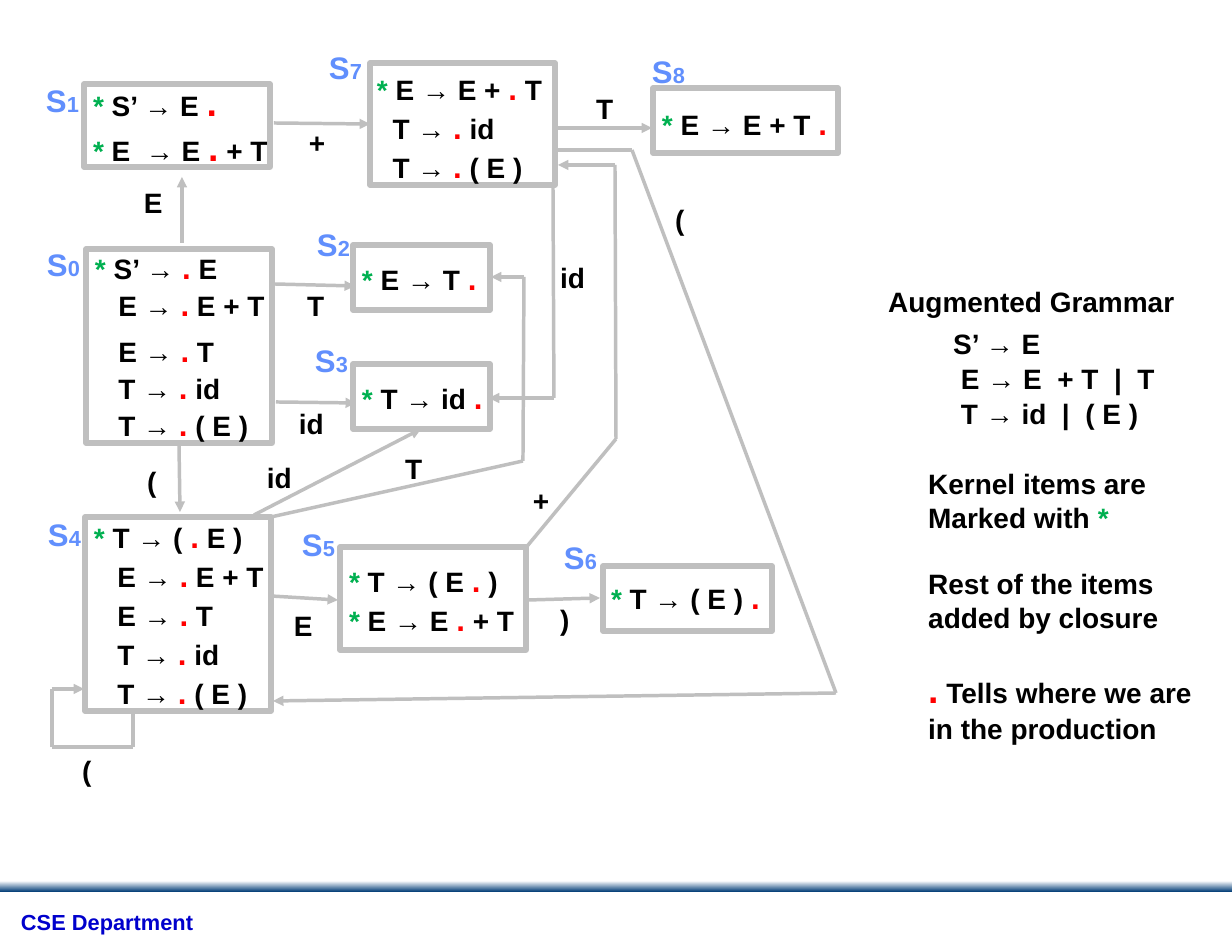
from dataclasses import dataclass
from itertools import groupby, pairwise
from typing import Any

import lxml.etree
import pptx
import pptx.dml.color
import pptx.enum.shapes
import pptx.enum.text
import pptx.oxml.ns
import pptx.util

UNIT = 914400 / 112
FONT = "Arial"
HUES = {
    "ink": "000000",
    "star": "00B050",
    "dot": "FF0000",
    "line": "BFBFBF",
    "tag": "618FFD",
    "foot": "0000CC",
    "white": "FFFFFF",
    "navy": "003B76",
}
MARKS = {"*": "star", ".": "dot"}
WIDTHS = {"E": 41, "T": 40, "+": 39, "id": 50, "(": 31, ")": 31}

Point = tuple[int, int]
Box = tuple[int, int, int, int]


@dataclass
class Line:
    text: str
    dent: int = 0
    lead: int = 0
    trail: int = 0
    dot: int = 20


@dataclass
class State:
    tag: str
    spot: Point
    box: Box
    area: Box
    lines: list[Line]


@dataclass
class Edge:
    text: str
    spot: Point
    route: list[Point]


def items(*texts: str, dent: int = 15, trail: int = 1, dot: int = 20) -> list[Line]:
    return [Line(t, 0 if t[0] == "*" else dent, 0, trail, dot) for t in texts]


STATES = [
    State("0", (36, 240), (86, 249, 186, 194), (84, 243, 195, 215),
          items("* S’ → . E", "E → . E + T", trail=0)
          + [Line("E → . T", 15, 5)]
          + items("T → . id", "T → . ( E )", trail=0)),
    State("1", (35, 76), (84, 84, 186, 83), (82, 74, 199, 103),
          items("* S’ → E .", "* E  → E . + T", trail=0, dot=24)),
    State("7", (318, 43), (370, 63, 185, 122), (366, 64, 189, 128),
          items("* E → E + . T", "T → . id", "T → . ( E )", dent=10)),
    State("8", (641, 47), (653, 88, 185, 65), (651, 99, 188, 49),
          items("* E → E + T .")),
    State("4", (37, 510), (85, 517, 186, 194), (83, 512, 195, 206),
          items("* T → ( . E )", "E → . E + T", "E → . T", "T → . id", "T → . ( E )")),
    State("2", (306, 220), (353, 245, 137, 65), (351, 254, 138, 49),
          items("* E → T .")),
    State("3", (304, 336), (353, 364, 137, 65), (351, 373, 144, 49),
          items("* T → id .")),
    State("5", (291, 520), (340, 547, 186, 103), (338, 556, 190, 88),
          items("* T → ( E . )", "* E → E . + T")),
    State("6", (553, 533), (603, 566, 169, 65), (600, 573, 172, 49),
          items("* T → ( E ) .")),
]

EDGES = [
    Edge("E", (133, 180), [(182, 243), (182, 177)]),
    Edge("+", (298, 120), [(274, 123), (370, 124)]),
    Edge("T", (585, 86), [(557, 128), (652, 128)]),
    Edge("T", (296, 283), [(274, 284), (355, 286)]),
    Edge("id", (288, 401), [(276, 402), (356, 403)]),
    Edge("(", (136, 459), [(179, 444), (180, 512)]),
    Edge("E", (283, 603), [(271, 596), (338, 600)]),
    Edge(")", (549, 597), [(528, 600), (600, 598)]),
    Edge("id", (256, 455), [(254, 515), (421, 429)]),
    Edge("T", (394, 446), [(271, 517), (523, 461), (524, 277), (491, 277)]),
    Edge("id", (549, 255), [(553, 186), (554, 398), (489, 398)]),
    Edge("+", (522, 478), [(524, 550), (616, 439), (615, 165), (558, 165)]),
    Edge("(", (71, 748), [(133, 712), (133, 747), (52, 747), (52, 689), (84, 689)]),
    Edge("(", (664, 197), [(556, 150), (632, 150), (836, 693), (273, 701)]),
]

TITLE = [Line("Augmented Grammar")]
RULES = [Line("S’ → E", 0, 0, 1), Line("E → E  + T  |  T", 5, 0, 1),
         Line("T → id  |  ( E )", 5, 0, 1)]
NOTES = [Line("Kernel items are"), Line("Marked with *"),
         Line("Rest of the items", lead=21), Line("added by closure"),
         Line(". Tells where we are", lead=21, dot=24), Line("in the production")]


def emu(px: float) -> pptx.util.Emu:
    return pptx.util.Emu(round(px * UNIT))


def tint(name: str) -> pptx.dml.color.RGBColor:
    return pptx.dml.color.RGBColor.from_string(HUES[name])


def apply(thing: Any, look: dict[str, Any]) -> None:
    for key, value in look.items():
        setattr(thing, key, value)


def place(shape: Any, box: Box) -> None:
    apply(shape, dict(zip(("left", "top", "width", "height"), map(emu, box))))


def add_run(para: Any, text: str, size: int, hue: str) -> None:
    run = para.add_run()
    run.text = text
    apply(run.font, {"name": FONT, "size": pptx.util.Pt(size), "bold": True})
    run.font.color.rgb = tint(hue)


def set_frame(frame: Any) -> None:
    apply(frame, {
        "word_wrap": False,
        "auto_size": pptx.enum.text.MSO_AUTO_SIZE.NONE,
        "vertical_anchor": pptx.enum.text.MSO_ANCHOR.TOP,
    })


def write(frame: Any, lines: list[Line]) -> None:
    set_frame(frame)
    for rank, line in enumerate(lines):
        para = frame.add_paragraph() if rank else frame.paragraphs[0]
        apply(para, {
            "alignment": pptx.enum.text.PP_ALIGN.LEFT,
            "space_before": pptx.util.Pt(line.lead),
            "space_after": pptx.util.Pt(line.trail),
        })
        props = para._p.get_or_add_pPr()
        props.set("marL", str(pptx.util.Pt(line.dent)))
        props.set("indent", "0")
        lxml.etree.SubElement(props, pptx.oxml.ns.qn("a:buNone"))
        for kind, chars in groupby(line.text, lambda c: MARKS.get(c, "ink")):
            add_run(para, "".join(chars), line.dot if kind == "dot" else 18, kind)


def add_text(slide: Any, box: Box) -> Any:
    frame = slide.shapes.add_textbox(*map(emu, box)).text_frame
    set_frame(frame)
    return frame


def add_rect(slide: Any, box: Box) -> Any:
    rect = slide.shapes.add_shape(
        pptx.enum.shapes.MSO_SHAPE.RECTANGLE, *map(emu, box))
    rect.shadow.inherit = False
    return rect


def draw_state(slide: Any, state: State) -> None:
    rect = add_rect(slide, state.box)
    rect.fill.background()
    rect.line.color.rgb = tint("line")
    rect.line.width = pptx.util.Pt(3.5)
    write(add_text(slide, state.area), state.lines)
    para = add_text(slide, (*state.spot, 56, 49)).paragraphs[0]
    add_run(para, "S", 20, "tag")
    add_run(para, state.tag, 14, "tag")


def draw_edge(slide: Any, edge: Edge) -> None:
    for start, end in pairwise(edge.route):
        link = slide.shapes.add_connector(
            pptx.enum.shapes.MSO_CONNECTOR.STRAIGHT, *map(emu, start + end))
        link.line.color.rgb = tint("line")
        link.line.width = pptx.util.Pt(2.25)
        if end == edge.route[-1]:
            lxml.etree.SubElement(
                link.line._get_or_add_ln(), pptx.oxml.ns.qn("a:tailEnd"), type="triangle")
        lxml.etree.SubElement(link._element.spPr, pptx.oxml.ns.qn("a:effectLst"))
    write(add_text(slide, (*edge.spot, WIDTHS[edge.text], 45)), [Line(edge.text)])


def draw_foot(slide: Any) -> None:
    band = add_rect(slide, (0, 881, 1232, 11))
    band.line.fill.background()
    band.fill.gradient()
    band.fill.gradient_angle = 270
    for stop, hue, spot in zip(band.fill.gradient_stops, ("white", "navy"), (0, 1)):
        stop.color.rgb = tint(hue)
        stop.position = spot
    frame = add_text(slide, (9, 905, 199, 37))
    apply(frame, {"margin_left": emu(12), "margin_top": emu(7)})
    frame.paragraphs[0].line_spacing = 0.9
    add_run(frame.paragraphs[0], "CSE Department", 14, "foot")


def main() -> None:
    deck = pptx.Presentation()
    apply(deck, {"slide_width": emu(1232), "slide_height": emu(952)})
    slide = deck.slides.add_slide(deck.slide_layouts[3])
    boxes = [(877, 279, 311, 45), (942, 321, 225, 116), (917, 461, 297, 295)]
    for holder, box, lines in zip(slide.placeholders, boxes, (TITLE, RULES, NOTES)):
        place(holder, box)
        write(holder.text_frame, lines)
    draw_foot(slide)
    for state in STATES:
        draw_state(slide, state)
    for edge in EDGES:
        draw_edge(slide, edge)
    deck.save("out.pptx")


if __name__ == "__main__":
    main()
